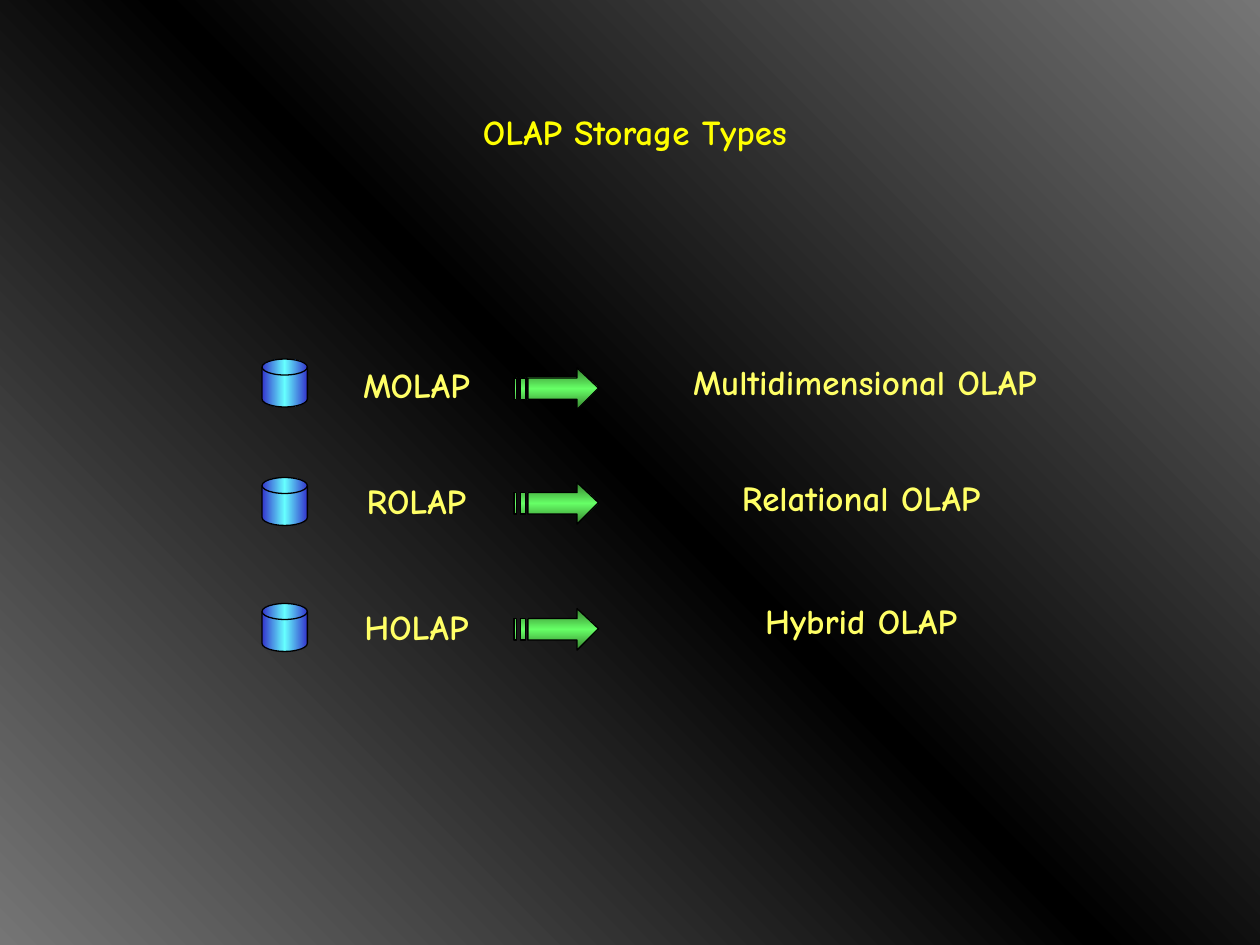
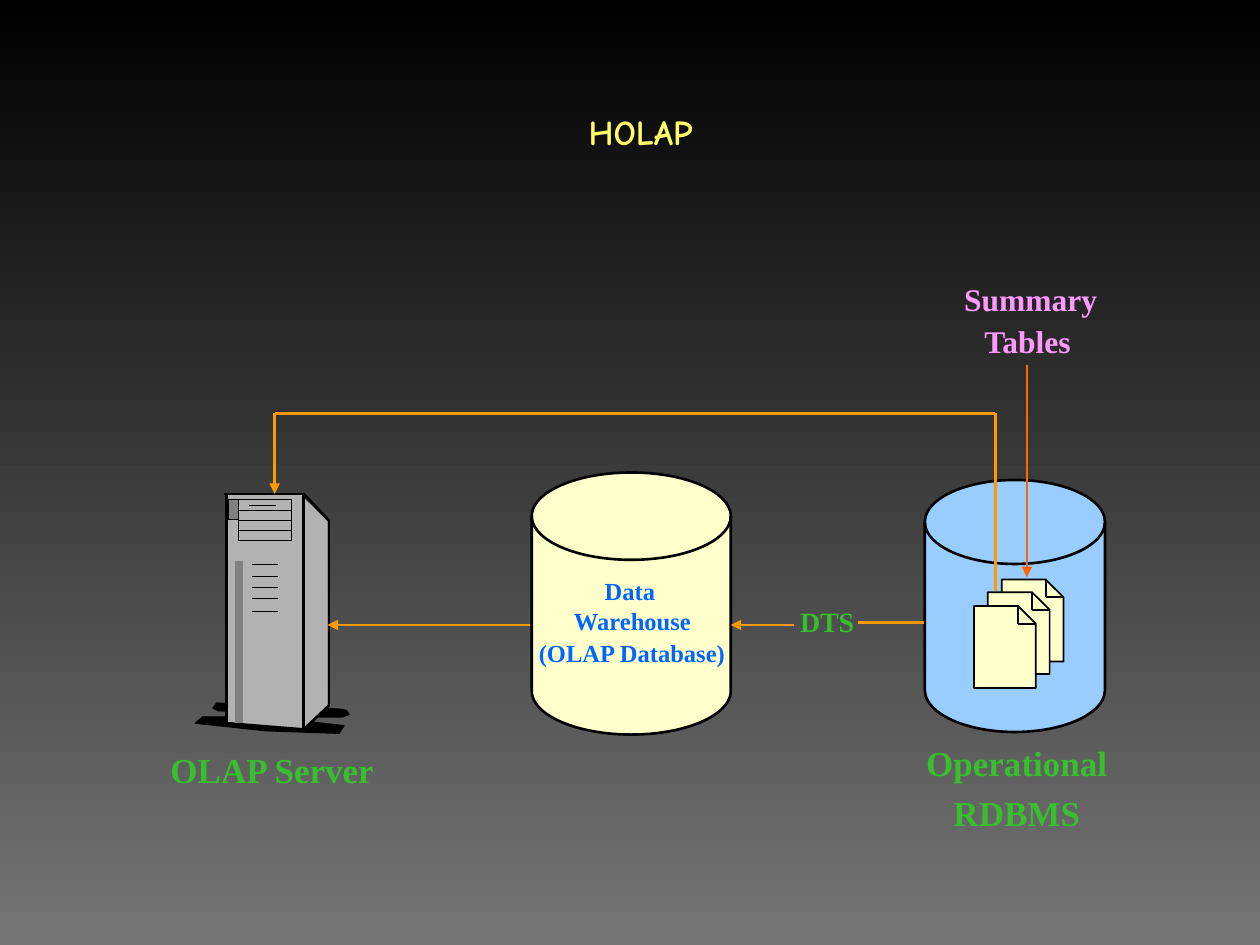
from dataclasses import dataclass
from typing import Optional

from lxml.etree import SubElement
from pptx import Presentation
from pptx.dml.color import RGBColor
from pptx.enum.shapes import MSO_CONNECTOR as Connector
from pptx.enum.shapes import MSO_SHAPE as Preset
from pptx.enum.text import MSO_ANCHOR as Anchor
from pptx.enum.text import PP_ALIGN as Align
from pptx.oxml.ns import qn
from pptx.util import Pt

PX = 9144

COLORS = {
    "black": "000000",
    "smoke": "757575",
    "title": "FFFF00",
    "lemon": "FFFF66",
    "blue": "3333CC",
    "cyan": "66FFFF",
    "forest": "34802C",
    "lime": "66FF66",
    "green": "38BE2E",
    "pink": "FF99FF",
    "link_blue": "0066FF",
    "cream": "FFFFCC",
    "sky": "99CCFF",
    "casing": "B2B2B2",
    "trim": "808080",
    "amber": "FF9900",
    "orange": "FF6600",
}
HAND = "Comic Neue"
SERIF = "Times New Roman"
Point = tuple[int, int]


@dataclass(frozen=True)
class Box:
    left: int
    top: int
    width: int
    height: int

    def emu(self) -> tuple[int, ...]:
        return tuple(PX * n for n in (self.left, self.top, self.width, self.height))


@dataclass(frozen=True)
class Label:
    text: str
    box: Box
    color: str = "lemon"
    size: int = 20
    font: str = HAND
    anchor: Anchor = Anchor.MIDDLE


@dataclass(frozen=True)
class Route:
    points: tuple[Point, ...]
    color: str = "black"
    weight: float = 1.5
    arrow: bool = False


@dataclass(frozen=True)
class StorageType:
    name: str
    meaning: str
    name_top: int
    disk_top: int
    arrow_top: int
    meaning_box: Box


STORAGE_TYPES = (
    StorageType("MOLAP", "Multidimensional OLAP", 285, 285, 292, Box(514, 283, 345, 40)),
    StorageType("ROLAP", "Relational OLAP", 377, 379, 383, Box(567, 375, 233, 40)),
    StorageType("HOLAP", "Hybrid OLAP", 477, 479, 483, Box(592, 469, 183, 47)),
)

ARROW_PARTS = (
    ((11, 8), (50, 8), (50, 0), (67, 16), (50, 33), (50, 25), (11, 25)),
    ((0, 8), (2, 8), (2, 25), (0, 25)),
    ((5, 8), (9, 8), (9, 25), (5, 25)),
)

SERVER_SHADOWS = (
    ((271, 563), (256, 562), (172, 558), (169, 562), (173, 564),
     (247, 569), (272, 569), (277, 567), (275, 564)),
    ((178, 569), (161, 569), (155, 574), (211, 580), (269, 582),
     (273, 576), (246, 573), (210, 570)),
)
SERVER_PANELS = (
    ((241, 395), (260, 414), (260, 560), (241, 578)),
    ((180, 393), (240, 393), (240, 579), (179, 573)),
)
SERVER_EDGES = (
    Route(((178, 392), (241, 392), (241, 579), (261, 560), (261, 413), (241, 392))),
    Route(((180, 393), (180, 574), (242, 579))),
)

HOLAP_LABELS = (
    Label("OLAP Server", Box(114, 589, 204, 44), "green", 20, SERIF),
    Label("Data", Box(463, 452, 74, 34), "link_blue", 14, SERIF),
    Label("Warehouse", Box(440, 476, 124, 34), "link_blue", 14, SERIF),
    Label("(OLAP Database)", Box(417, 501, 169, 34), "link_blue", 14, SERIF),
    Label("Operational", Box(725, 583, 164, 44), "green", 20, SERIF),
    Label("RDBMS", Box(725, 623, 164, 44), "green", 20, SERIF),
    Label("Summary", Box(752, 217, 132, 40), "pink", 18, SERIF),
    Label("Tables", Box(770, 251, 91, 40), "pink", 18, SERIF),
    Label("DTS", Box(625, 475, 63, 37), "green", 16, SERIF),
)
DATA_FLOWS = (
    Route(((733, 494), (681, 494)), "amber"),
    Route(((630, 496), (580, 496)), "amber", arrow=True),
    Route(((815, 290), (815, 458)), "orange", arrow=True),
    Route(((790, 469), (790, 328), (218, 328), (218, 392)), "amber", arrow=True),
    Route(((421, 496), (260, 496)), "amber", arrow=True),
)


def rgb(name: str) -> RGBColor:
    return RGBColor.from_string(COLORS[name])


def paint_gradient(fill, element, names: tuple[str, ...], angle: int) -> None:
    fill.gradient()
    fill.gradient_angle = 360 - angle
    stops = element.find(f".//{qn('a:gradFill')}/{qn('a:gsLst')}")
    for stop in list(stops):
        stops.remove(stop)
    for index, name in enumerate(names):
        position = 100000 * index // (len(names) - 1)
        stop = SubElement(stops, qn("a:gs"), pos=str(position))
        SubElement(stop, qn("a:srgbClr"), val=COLORS[name])


def style_shape(shape, fill: Optional[str], weight: float) -> None:
    shape.shadow.inherit = False
    if fill:
        shape.fill.solid()
        shape.fill.fore_color.rgb = rgb(fill)
    if weight:
        shape.line.color.rgb = rgb("black")
        shape.line.width = Pt(weight)
    else:
        shape.line.fill.background()


def add_preset(slide, preset: Preset, box: Box, fill: Optional[str], weight: float):
    shape = slide.shapes.add_shape(preset, *box.emu())
    style_shape(shape, fill, weight)
    return shape


def add_outline(slide, contours, fill: Optional[str], weight: float):
    builder = slide.shapes.build_freeform(*contours[0][0], scale=PX)
    for index, contour in enumerate(contours):
        if index:
            builder.move_to(*contour[0])
        builder.add_line_segments(contour[1:], close=True)
    shape = builder.convert_to_shape()
    style_shape(shape, fill, weight)
    return shape


def add_label(slide, label: Label) -> None:
    text_frame = slide.shapes.add_textbox(*label.box.emu()).text_frame
    text_frame.text = label.text
    text_frame.word_wrap = False
    text_frame.vertical_anchor = label.anchor
    paragraph = text_frame.paragraphs[0]
    paragraph.alignment = Align.CENTER
    font = paragraph.runs[0].font
    font.name, font.size, font.bold = label.font, Pt(label.size), True
    font.color.rgb = rgb(label.color)


def add_line(slide, start: Point, end: Point, color: str, weight: float):
    ends = [PX * n for n in (*start, *end)]
    connector = slide.shapes.add_connector(Connector.STRAIGHT, *ends)
    connector.line.color.rgb = rgb(color)
    connector.line.width = Pt(weight)
    SubElement(connector.element.spPr, qn("a:effectLst"))
    return connector


def add_route(slide, route: Route) -> None:
    for start, end in zip(route.points, route.points[1:]):
        connector = add_line(slide, start, end, route.color, route.weight)
    if route.arrow:
        SubElement(connector.get_or_add_ln(), qn("a:tailEnd"), type="triangle")


def add_page(slide, left: int, top: int) -> None:
    right, bottom, fold = left + 49, top + 65, 14
    outline = ((left, top), (right - fold, top), (right, top + fold),
               (right, bottom), (left, bottom))
    add_outline(slide, (outline,), "cream", 1)
    crease = ((right - fold, top), (right - fold, top + fold), (right, top + fold))
    add_route(slide, Route(crease, weight=1))


def add_server(slide) -> None:
    for shadow in SERVER_SHADOWS:
        add_outline(slide, (shadow,), "black", 0.75)
    for panel in SERVER_PANELS:
        add_outline(slide, (panel,), "casing", 0)
    for edge in SERVER_EDGES:
        add_route(slide, edge)
    bay = add_preset(slide, Preset.RECTANGLE, Box(189, 396, 42, 33), "casing", 0.25)
    for y in (405, 421):
        add_line(slide, (189, y), (231, y), "black", 0.25)
    divider = add_line(slide, (189, 413), (231, 413), "black", 0.25)
    divider.begin_connect(bay, 1)
    divider.end_connect(bay, 3)
    add_line(slide, (190, 445), (190, 574), "trim", 4.5)
    for vent in range(5):
        y = 448 + 37 * vent // 4
        add_line(slide, (200, y), (221, y), "black", 0.25)
    add_preset(slide, Preset.RECTANGLE, Box(181, 396, 8, 16), "trim", 0.25)
    add_line(slide, (198, 401), (219, 401), "black", 0.5)


def add_slide(presentation, background: tuple[str, ...], angle: int, title: Label):
    slide = presentation.slides.add_slide(presentation.slide_layouts[6])
    paint_gradient(slide.background.fill, slide.element, background, angle)
    add_label(slide, title)
    return slide


def build_storage_types(presentation) -> None:
    title = Label("OLAP Storage Types", Box(300, 83, 408, 75), "title", anchor=Anchor.TOP)
    slide = add_slide(presentation, ("smoke", "black", "smoke"), 135, title)
    for storage in STORAGE_TYPES:
        add_label(slide, Label(storage.name, Box(275, storage.name_top, 111, 40)))
        disk_box = Box(208, storage.disk_top, 36, 38)
        disk = add_preset(slide, Preset.FLOWCHART_MAGNETIC_DISK, disk_box, None, 0.75)
        paint_gradient(disk.fill, disk.element, ("blue", "cyan", "blue"), 180)
        contours = [[(408 + x, storage.arrow_top + y) for x, y in part]
                    for part in ARROW_PARTS]
        arrow = add_outline(slide, contours, None, 0.75)
        paint_gradient(arrow.fill, arrow.element, ("forest", "lime", "forest"), 90)
        add_label(slide, Label(storage.meaning, storage.meaning_box))


def build_holap(presentation) -> None:
    title = Label("HOLAP", Box(425, 75, 167, 58))
    slide = add_slide(presentation, ("black", "smoke"), 90, title)
    add_server(slide)
    for box, fill in ((Box(422, 375, 158, 208), "cream"), (Box(734, 381, 143, 200), "sky")):
        add_preset(slide, Preset.FLOWCHART_MAGNETIC_DISK, box, fill, 1.5)
    for page in range(3):
        add_page(slide, 795 - 11 * page, 460 + 21 * page // 2)
    for label in HOLAP_LABELS:
        add_label(slide, label)
    for flow in DATA_FLOWS:
        add_route(slide, flow)


def main() -> None:
    presentation = Presentation()
    presentation.slide_width = 1000 * PX
    presentation.slide_height = 750 * PX
    build_storage_types(presentation)
    build_holap(presentation)
    presentation.save("out.pptx")


if __name__ == "__main__":
    main()
